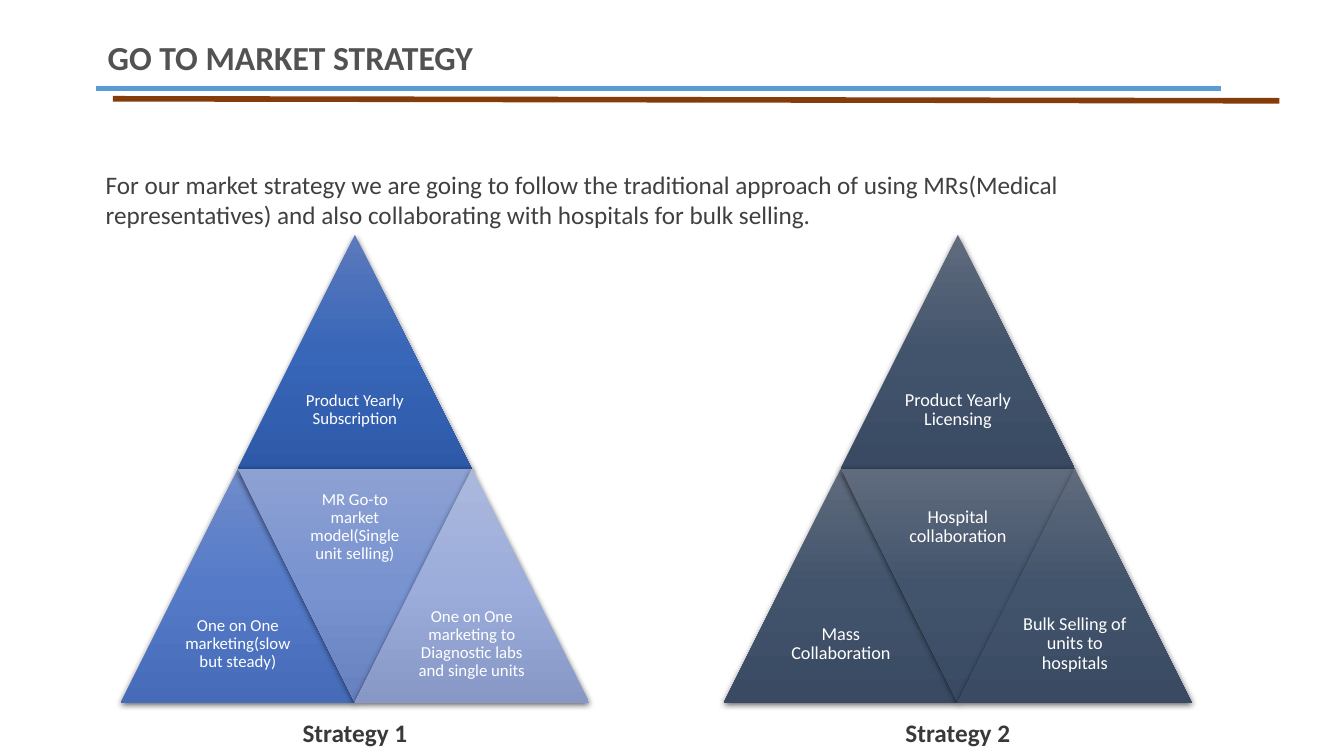
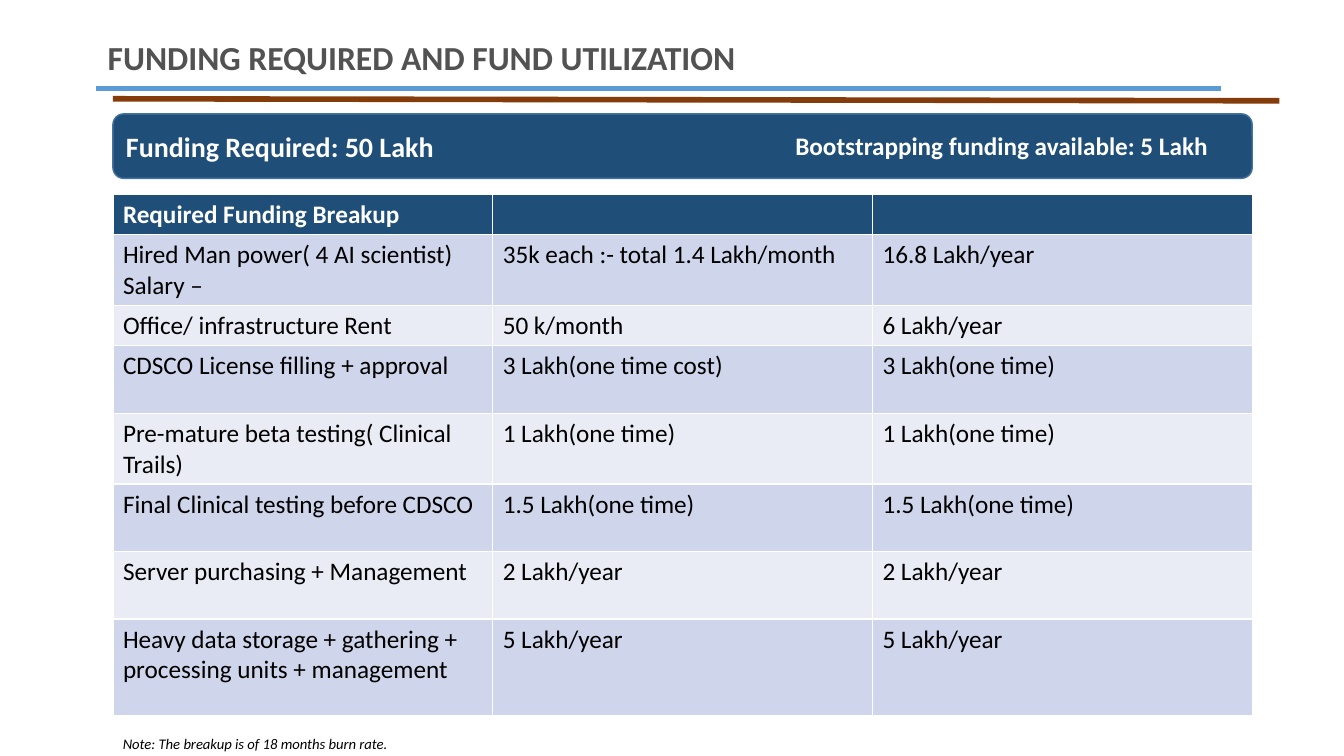
from pptx import Presentation
from pptx.dml.color import RGBColor
from pptx.enum.shapes import MSO_CONNECTOR as Connector, MSO_SHAPE as Shape
from pptx.enum.text import MSO_ANCHOR as Anchor, PP_ALIGN as Align
from pptx.oxml import parse_xml
from pptx.oxml.ns import nsdecls
from pptx.util import Inches, Pt

# Shared look
WIDTH, HEIGHT = 13.33, 7.5
FONT = "Calibri"
NAVY, WHITE, BLACK = "1F4E79", "FFFFFF", "000000"
TITLE, BODY, LABEL = "525252", "404040", "3B3838"
BANDS = ("CFD5EA", "E9EBF5")
TITLE_RULES = [((0.95, 0.88), (12.11, 0.88), "5B9BD5"),
               ((1.12, 0.98), (12.69, 1.0), "843C0B")]

# Strategy content
INTRO = ("For our market strategy we are going to follow the traditional approach of using "
         "MRs(Medical representatives) and also collaborating with hospitals for bulk selling.")
SLATE = ("606B7D", "42546C", "394A62")
# Texts and gradients run: top, left, middle (inverted), right
STRATEGIES = [
    dict(name="Strategy 1", left=1.2, size=12, parts=[
        ("Product Yearly Subscription", ("5C7ABD", "3866B8", "2D59A8")),
        ("One on One marketing(slow but steady)", ("708BCA", "557BC8", "466BB8")),
        ("MR Go-to market model(Single unit selling)", ("8DA1D3", "7993D1", "6781BE")),
        ("One on One marketing to Diagnostic labs and single units",
         ("ABB8DD", "9CADDB", "8798C6"))]),
    dict(name="Strategy 2", left=7.18, size=13, parts=[
        ("Product Yearly Licensing", SLATE),
        ("Mass Collaboration", SLATE),
        ("Hospital collaboration", SLATE),
        ("Bulk Selling of units to hospitals", SLATE)]),
]
SIDE, PYRAMID_TOP = 2.32, 2.33
# Column in half sides, row in whole sides, inverted
PYRAMID_GRID = [(1, 0, False), (0, 1, False), (1, 1, True), (2, 1, False)]

# Funding content
BREAKUP = [
    (0.4, "Required Funding Breakup", "", ""),
    (0.7, "Hired Man power( 4 AI scientist) Salary –", "35k each :- total 1.4 Lakh/month",
     "16.8 Lakh/year"),
    (0.4, "Office/ infrastructure Rent", "50 k/month", "6 Lakh/year"),
    (0.67, "CDSCO License filling + approval", "3 Lakh(one time cost)", "3 Lakh(one time)"),
    (0.7, "Pre-mature beta testing( Clinical Trails)", "1 Lakh(one time)", "1 Lakh(one time)"),
    (0.67, "Final Clinical testing before CDSCO", "1.5 Lakh(one time)", "1.5 Lakh(one time)"),
    (0.67, "Server purchasing + Management", "2 Lakh/year", "2 Lakh/year"),
    (0.96, "Heavy data storage + gathering + processing units + management",
     "5 Lakh/year", "5 Lakh/year"),
]
TABLE_LEFT, TABLE_WIDTH = 1.12, 11.3


def rgb(color):
    return RGBColor.from_string(color)


def inches(*lengths):
    return [Inches(length) for length in lengths]


def write(frame, text, size, color, bold=False, italic=False, align=Align.LEFT):
    para = frame.paragraphs[0]
    para.text, para.alignment = text, align
    font = para.font
    font.name, font.size, font.bold, font.italic = FONT, Pt(size), bold, italic
    font.color.rgb = rgb(color)
    return para


def add_text(page, at, text, size, color, **style):
    frame = page.shapes.add_textbox(*inches(*at)).text_frame
    frame.word_wrap = True
    write(frame, text, size, color, **style)
    return frame


def add_page(deck, title):
    page = deck.slides.add_slide(deck.slide_layouts[6])
    for start, end, color in TITLE_RULES:
        rule = page.shapes.add_connector(Connector.STRAIGHT, *inches(*start, *end))
        rule.line.color.rgb, rule.line.width = rgb(color), Pt(4)
        rule._element.spPr.append(parse_xml(f"<a:effectLst {nsdecls('a')}/>"))
    add_text(page, (0.97, 0.32, 10.92, 0.5), title, 24, TITLE, bold=True)
    return page


def add_triangle(page, left, top, colors, inverted):
    triangle = page.shapes.add_shape(Shape.ISOSCELES_TRIANGLE, *inches(left, top, SIDE, SIDE))
    triangle.rotation = 180 if inverted else 0
    stops = "".join(f'<a:gs pos="{spot * 50000}"><a:srgbClr val="{color}"/></a:gs>'
                    for spot, color in enumerate(colors))
    # Upright gradient, no outline, soft shadow below
    for xml in (
        f'<a:gradFill {nsdecls("a")} rotWithShape="0"><a:gsLst>{stops}</a:gsLst>'
        '<a:lin ang="5400000" scaled="0"/></a:gradFill>',
        f'<a:ln {nsdecls("a")}><a:noFill/></a:ln>',
        f'<a:effectLst {nsdecls("a")}><a:outerShdw blurRad="57150" dist="19050" dir="5400000" '
        'algn="ctr" rotWithShape="0"><a:srgbClr val="000000"><a:alpha val="63000"/>'
        '</a:srgbClr></a:outerShdw></a:effectLst>',
    ):
        triangle._element.spPr.append(parse_xml(xml))


def add_pyramid(page, name, left, size, parts):
    half = SIDE / 2
    for (text, colors), (column, row, inverted) in zip(parts, PYRAMID_GRID):
        x, y = left + column * half, PYRAMID_TOP + row * SIDE
        add_triangle(page, x, y, colors, inverted)
        text_top = y if inverted else y + half
        frame = add_text(page, (x + half / 2, text_top, half, half), text, size, WHITE,
                         align=Align.CENTER)
        frame.vertical_anchor = Anchor.MIDDLE
        frame.margin_left = frame.margin_right = Inches(0.05)
        frame.margin_top = frame.margin_bottom = Inches(0.05)
        frame.paragraphs[0].line_spacing = 0.9
    add_text(page, (left, 7.07, 2 * SIDE, 0.4), name, 18, LABEL, bold=True, align=Align.CENTER)


def add_breakup(page):
    height = sum(row[0] for row in BREAKUP)
    table = page.shapes.add_table(
        len(BREAKUP), 3, *inches(TABLE_LEFT, 1.93, TABLE_WIDTH, height)).table
    for column in table.columns:
        column.width = Inches(TABLE_WIDTH / 3)
    for number, (row_height, *texts) in enumerate(BREAKUP):
        header = number == 0
        table.rows[number].height = Inches(row_height)
        for cell, text in zip(table.rows[number].cells, texts):
            cell.fill.solid()
            cell.fill.fore_color.rgb = rgb(NAVY if header else BANDS[(number - 1) % 2])
            write(cell.text_frame, text, 18, WHITE if header else BLACK, bold=header)


def build_strategy(deck):
    page = add_page(deck, "GO TO MARKET STRATEGY")
    add_text(page, (0.95, 1.63, 11.08, 0.71), INTRO, 18, BODY)
    for strategy in STRATEGIES:
        add_pyramid(page, **strategy)


def build_funding(deck):
    page = add_page(deck, "FUNDING REQUIRED AND FUND UTILIZATION")
    # Banner with the two funding figures
    banner = page.shapes.add_shape(
        Shape.ROUNDED_RECTANGLE, *inches(TABLE_LEFT, 1.13, TABLE_WIDTH, 0.64))
    banner.shadow.inherit = False
    banner.fill.solid()
    banner.fill.fore_color.rgb = rgb(NAVY)
    banner.line.color.rgb, banner.line.width = rgb("43739E"), Pt(1)
    banner.text_frame.vertical_anchor = Anchor.MIDDLE
    write(banner.text_frame, "Funding Required: 50 Lakh", 20, WHITE, bold=True)
    add_text(page, (7.79, 1.24, 4.5, 0.4), "Bootstrapping funding available: 5 Lakh",
             18, WHITE, bold=True)
    add_breakup(page)
    add_text(page, (TABLE_LEFT, 7.24, 4, 0.26), "Note: The breakup is of 18 months burn rate.",
             10.5, BLACK, italic=True)


def main():
    deck = Presentation()
    deck.slide_width, deck.slide_height = inches(WIDTH, HEIGHT)
    build_strategy(deck)
    build_funding(deck)
    deck.save("out.pptx")


if __name__ == "__main__":
    main()
